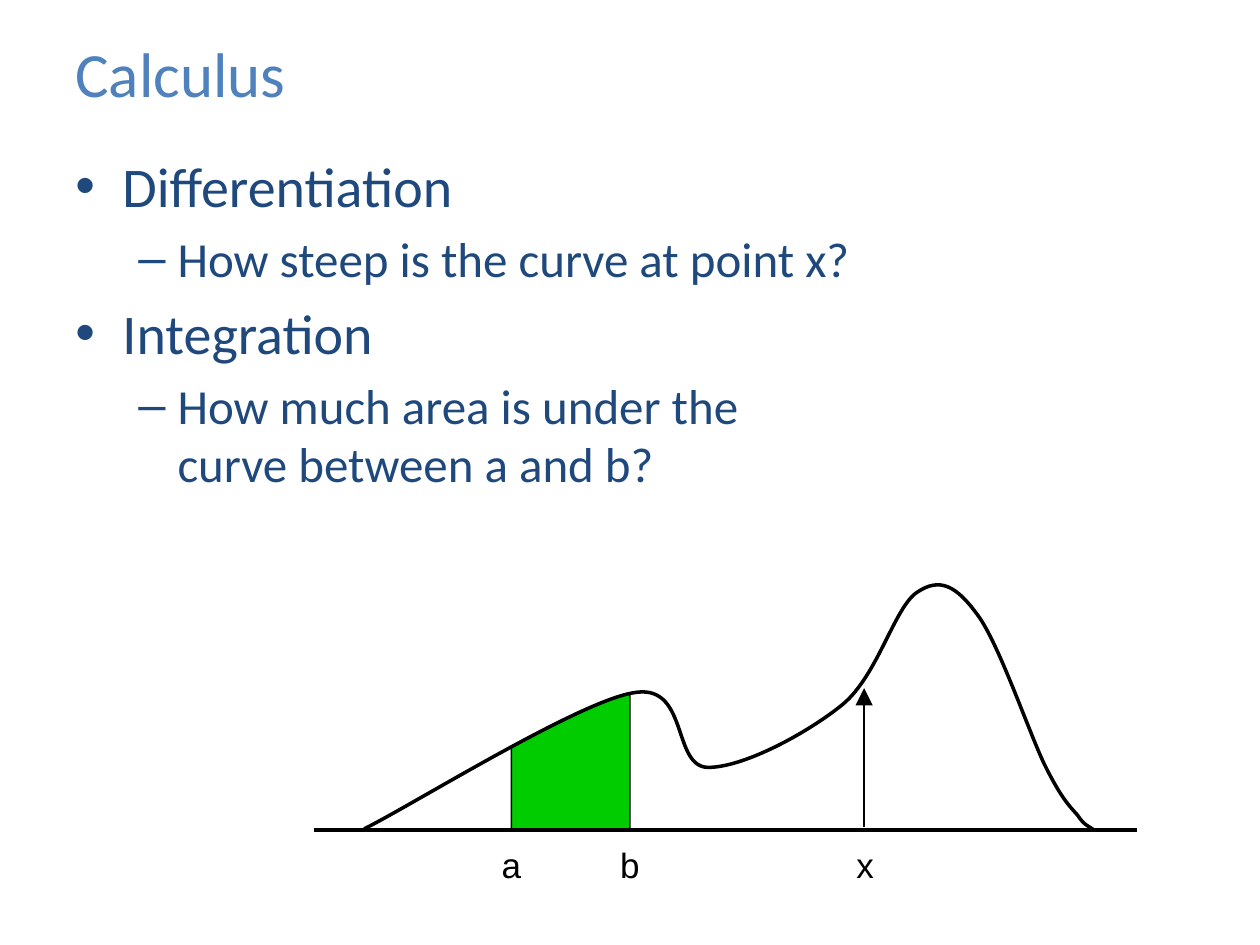
import pptx
import pptx.dml.color
import pptx.enum.shapes
import pptx.enum.text
import pptx.oxml.ns
import pptx.util
from lxml import etree

Cm, Pt = pptx.util.Cm, pptx.util.Pt
ANCHOR = pptx.enum.text.MSO_ANCHOR

# Content
COLORS = {"title": "4F81BD", "body": "1F497D", "area": "00CC00", "ink": "000000"}
TITLE = "Calculus"
BULLETS = [
    (0, "Differentiation"),
    (1, "How steep is the curve at point x?"),
    (0, "Integration"),
    (1, "How much area is under the\vcurve between a and b?"),
]
# Per level: bullet, size, space before (pt), left margin, hanging indent (cm)
LEVELS = [("•", 32, 6.4, 0.95, 0.95), ("–", 28, 5.6, 2.06, 0.79)]

# Graph geometry in cm
AXIS_Y, AXIS_LEFT, AXIS_RIGHT = 16.73, 6.32, 22.93
AXIS_LABELS = [("a", 10.31, 0.92), ("b", 12.7, 0.92), ("x", 17.44, 0.86)]
ARROW_X, ARROW_BOTTOM, ARROW_TOP = 17.42, 16.68, 13.87
AREA_TOP = [(10.31, 15.04), (11.05, 14.66), (11.71, 14.33), (12.32, 14.1), (12.7, 13.97)]
# Start point, then two control points and an end point per row
CURVE = [
    (7.34, 16.71),
    (8.26, 16.26), (11.61, 14.17), (12.75, 13.97),
    (13.89, 13.74), (13.54, 15.42), (14.25, 15.47),
    (14.96, 15.49), (16.28, 14.78), (16.99, 14.2),
    (17.7, 13.61), (18.03, 12.24), (18.49, 11.94),
    (18.95, 11.63), (19.28, 11.81), (19.71, 12.4),
    (20.14, 12.98), (20.73, 14.73), (21.06, 15.42),
    (21.39, 16.08), (21.54, 16.23), (21.72, 16.43),
    (21.87, 16.66), (21.97, 16.66), (22.05, 16.73),
]


def color(name):
    return pptx.dml.color.RGBColor.from_string(COLORS[name])


def add_child(parent, tag, **attributes):
    return etree.SubElement(parent, pptx.oxml.ns.qn(tag), attributes)


def add_text_box(shapes, left, top, width, height, anchor=ANCHOR.TOP):
    text_frame = shapes.add_textbox(Cm(left), Cm(top), Cm(width), Cm(height)).text_frame
    text_frame.word_wrap = True
    text_frame.vertical_anchor = anchor
    return text_frame


def format_runs(paragraph, font_name, size, color_name):
    for run in paragraph.runs:
        run.font.name = font_name
        run.font.size = Pt(size)
        run.font.color.rgb = color(color_name)


def set_bullet(paragraph, character, margin, hanging):
    properties = paragraph._p.get_or_add_pPr()
    properties.set("marL", str(Cm(margin)))
    properties.set("indent", str(-Cm(hanging)))
    add_child(add_child(properties, "a:buClr"), "a:srgbClr", val=COLORS["body"])
    add_child(properties, "a:buFont", typeface="Arial")
    add_child(properties, "a:buChar", char=character)


def set_line(shape, width):
    shape.line.color.rgb = color("ink")
    shape.line.width = Pt(width)


def add_outline(shapes, points, line_width, closed):
    start, *rest = [(Cm(x), Cm(y)) for x, y in points]
    builder = shapes.build_freeform(*start)
    builder.add_line_segments(rest, close=closed)
    shape = builder.convert_to_shape()
    shape.shadow.inherit = False
    set_line(shape, line_width)
    return shape


def bend_segments(shape):
    """Turn every three line segments into one cubic curve."""
    segments = list(shape._element.iter(pptx.oxml.ns.qn("a:lnTo")))
    outline = segments[0].getparent()
    for index in range(0, len(segments), 3):
        curve = add_child(outline, "a:cubicBezTo")
        for segment in segments[index:index + 3]:
            curve.append(segment[0])
            outline.remove(segment)


def add_line(shapes, start, end, width):
    connector = shapes.add_connector(
        pptx.enum.shapes.MSO_CONNECTOR.STRAIGHT, *(Cm(value) for value in start + end))
    set_line(connector, width)
    add_child(connector._element.spPr, "a:effectLst")
    return connector


def add_texts(shapes):
    # Title
    text_frame = add_text_box(shapes, 1.27, 0.51, 22.86, 1.9, ANCHOR.MIDDLE)
    text_frame.text = TITLE
    format_runs(text_frame.paragraphs[0], "Calibri", 36, "title")

    # Bullet list
    text_frame = add_text_box(shapes, 1.27, 2.92, 22.86, 15.52)
    for index, (level, text) in enumerate(BULLETS):
        character, size, space, margin, hanging = LEVELS[level]
        paragraph = text_frame.add_paragraph() if index else text_frame.paragraphs[0]
        paragraph.text = text
        paragraph.level = level
        set_bullet(paragraph, character, margin, hanging)
        if index:
            paragraph.space_before = Pt(space)
        format_runs(paragraph, "Calibri", size, "body")


def add_graph(shapes):
    # Shaded area, curve and axis
    corners = [(AREA_TOP[-1][0], AXIS_Y), (AREA_TOP[0][0], AXIS_Y)]
    area = add_outline(shapes, AREA_TOP + corners, 0.75, closed=True)
    area.fill.solid()
    area.fill.fore_color.rgb = color("area")
    curve = add_outline(shapes, CURVE, 2, closed=False)
    curve.fill.background()
    bend_segments(curve)
    add_line(shapes, (AXIS_LEFT, AXIS_Y), (AXIS_RIGHT, AXIS_Y), 2)

    # Axis labels
    for label, center, width in AXIS_LABELS:
        text_frame = add_text_box(shapes, center - width / 2, 16.88, width, 1.09)
        text_frame.auto_size = pptx.enum.text.MSO_AUTO_SIZE.SHAPE_TO_FIT_TEXT
        text_frame.text = label
        text_frame.paragraphs[0].alignment = pptx.enum.text.PP_ALIGN.CENTER
        format_runs(text_frame.paragraphs[0], "Arial", 20, "ink")

    # Arrow to the point on the curve
    arrow = add_line(shapes, (ARROW_X, ARROW_BOTTOM), (ARROW_X, ARROW_TOP), 0.75)
    add_child(arrow.line._get_or_add_ln(), "a:tailEnd", type="triangle", w="lg", len="lg")


def main():
    presentation = pptx.Presentation()
    presentation.slide_width, presentation.slide_height = Cm(25.4), Cm(19.05)
    slide = presentation.slides.add_slide(presentation.slide_layouts[6])
    add_texts(slide.shapes)
    add_graph(slide.shapes.add_group_shape().shapes)
    presentation.save("out.pptx")


if __name__ == "__main__":
    main()
